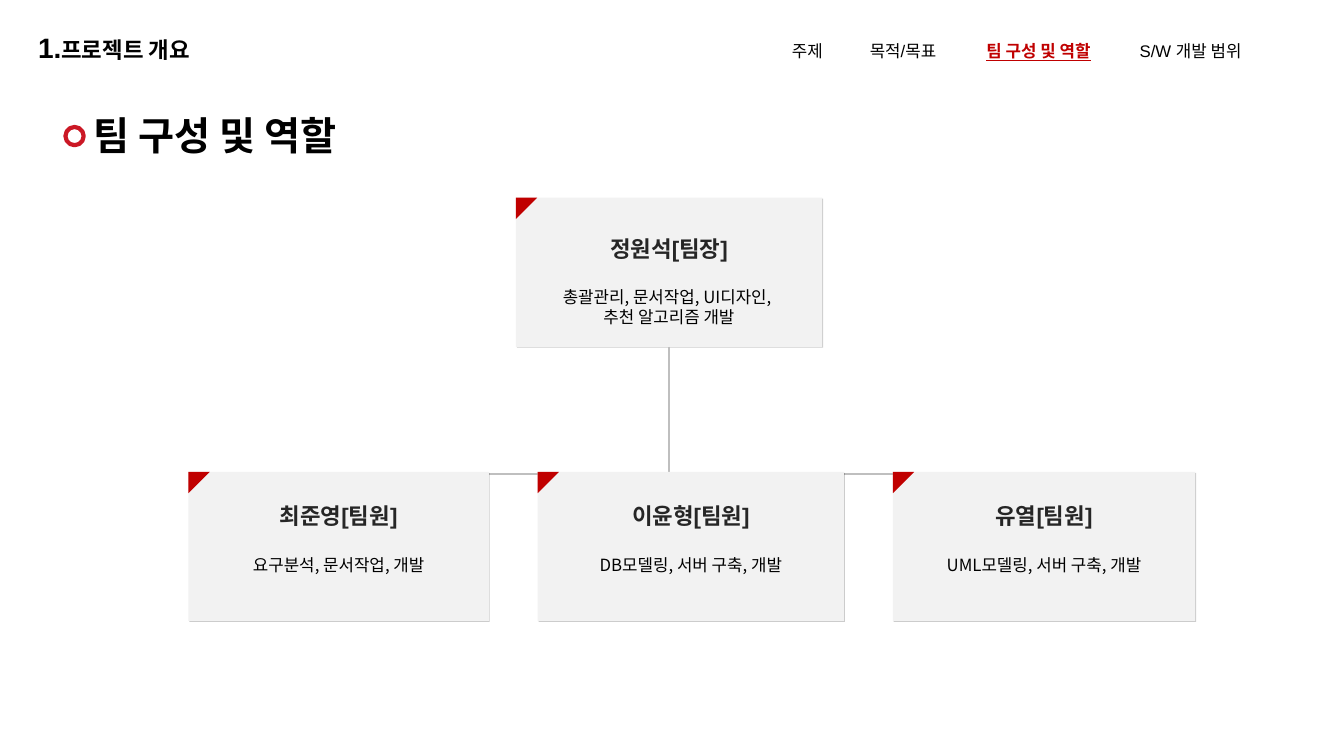
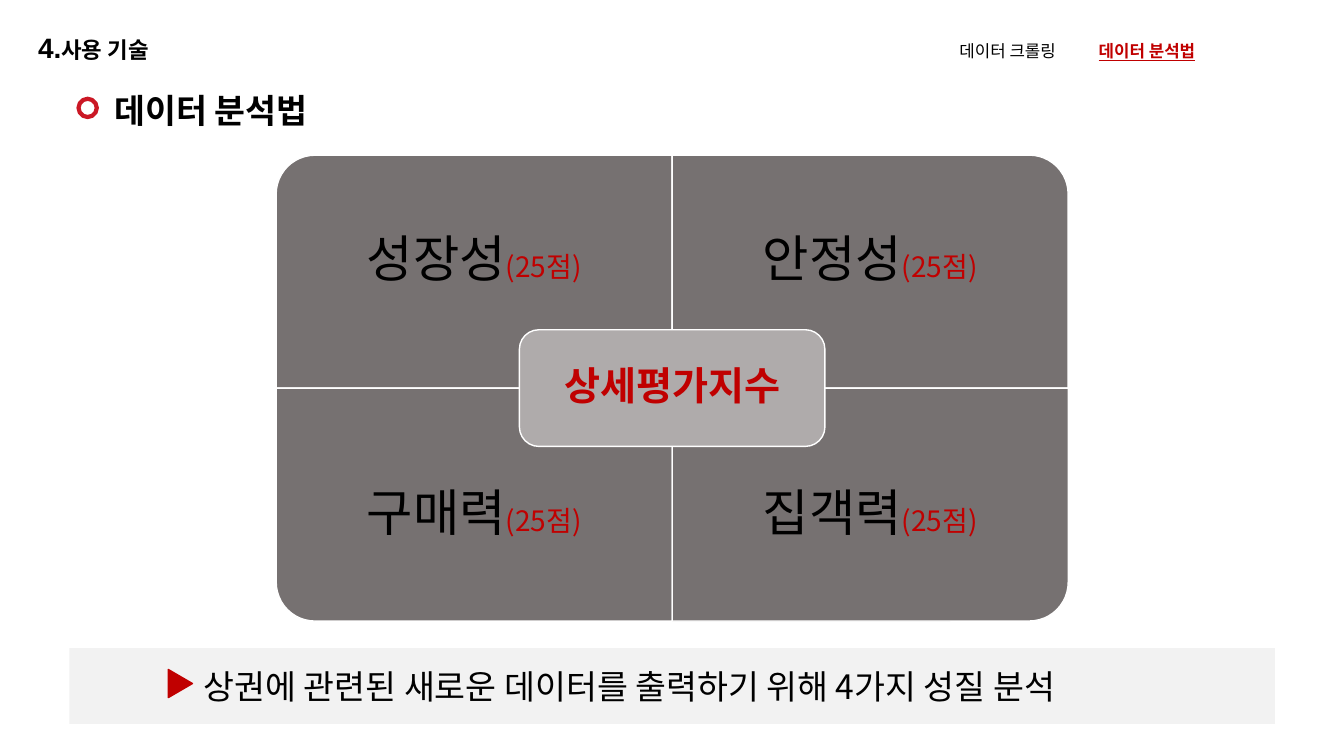
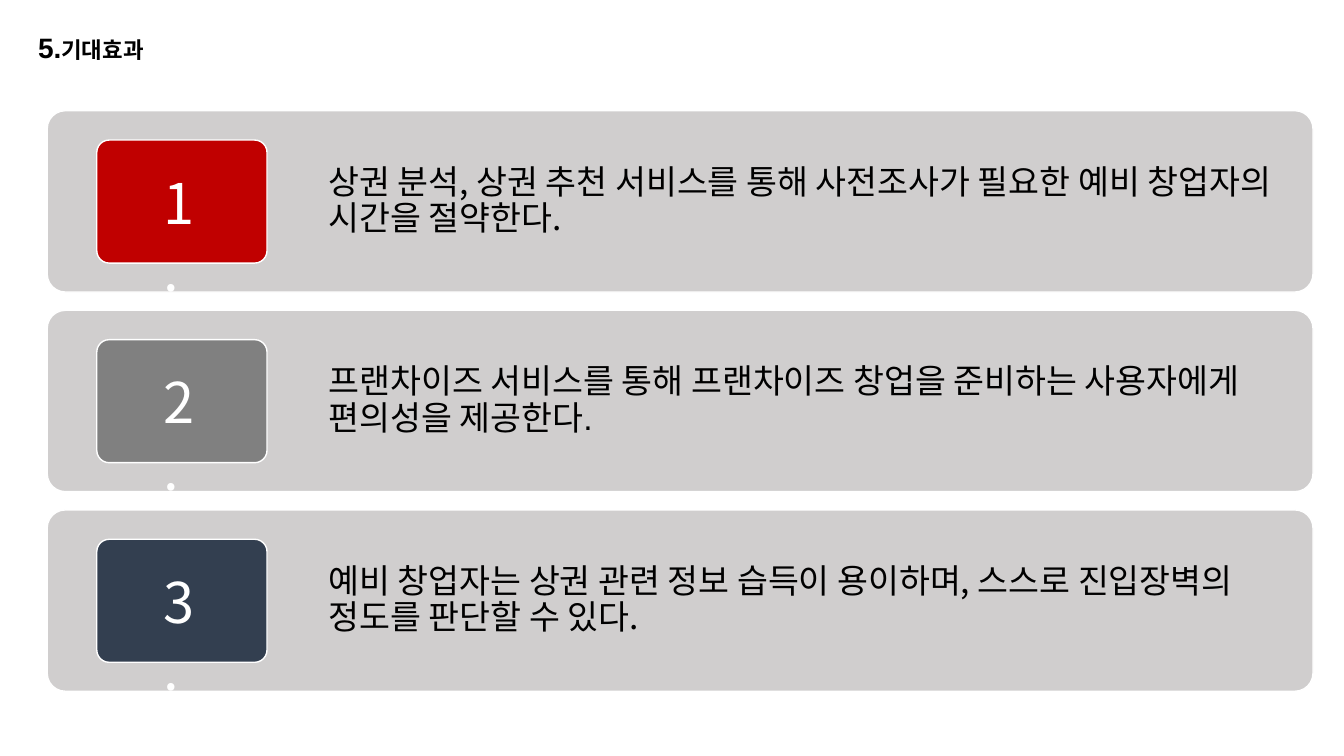
import pptx
import pptx.util
import pptx.dml.color
import pptx.enum.shapes
import pptx.enum.text
import pptx.oxml
import pptx.oxml.ns

Cm, Pt = pptx.util.Cm, pptx.util.Pt
RGBColor = pptx.dml.color.RGBColor
KIND = pptx.enum.shapes.MSO_SHAPE
ALIGN = pptx.enum.text.PP_ALIGN
ANCHOR = pptx.enum.text.MSO_ANCHOR

BLACK = RGBColor(0x00, 0x00, 0x00)
WHITE = RGBColor(0xFF, 0xFF, 0xFF)
INK = RGBColor(0x26, 0x26, 0x26)
RED = RGBColor(0xC0, 0x00, 0x00)
RING = RGBColor(0xCB, 0x18, 0x25)
PALE = RGBColor(0xF2, 0xF2, 0xF2)
RULE = RGBColor(0xBF, 0xBF, 0xBF)
PANEL = RGBColor(0x76, 0x71, 0x71)
CORE = RGBColor(0xAF, 0xAB, 0xAB)
BAND = RGBColor(0xD0, 0xCE, 0xCE)
GREY = RGBColor(0x80, 0x80, 0x80)
NAVY = RGBColor(0x33, 0x3F, 0x50)

ARIAL = "Arial"
NOTO = "Noto Sans CJK KR"
NS = 'xmlns:a="http://schemas.openxmlformats.org/drawingml/2006/main"'
SHADOW = (f'<a:outerShdw {NS} blurRad="0" dist="12700" dir="2700000">'
          '<a:srgbClr val="000000"><a:alpha val="20000"/></a:srgbClr>'
          '</a:outerShdw>')


class Deck:
    def __init__(self):
        self.prs = pptx.Presentation()
        self.prs.slide_width = Cm(33.87)
        self.prs.slide_height = Cm(19.05)
        self.slide = None

    def page(self, num, name):
        """Start a slide with its chapter number and name."""
        self.slide = self.prs.slides.add_slide(self.prs.slide_layouts[6])
        para = self.text(0.71, 0.64, 6.45, 1.12)
        self.run(para, num, 20, ARIAL, bold=True)
        self.run(para, name, 16, ARIAL, bold=True)

    def text(self, x, y, w, h, align=None, middle=False, inset=None,
             tight=False, wrap=True):
        """Add a text box and return its first paragraph."""
        box = self.slide.shapes.add_textbox(Cm(x), Cm(y), Cm(w), Cm(h))
        return self.frame(box.text_frame, align, middle, inset, tight, wrap)

    def frame(self, frame, align=None, middle=False, inset=None,
              tight=False, wrap=True):
        """Set up a text frame and return its first paragraph."""
        frame.word_wrap = wrap
        frame.vertical_anchor = ANCHOR.MIDDLE if middle else ANCHOR.TOP
        if inset is not None:
            frame.margin_left = frame.margin_right = Cm(inset)
            frame.margin_top = frame.margin_bottom = Cm(inset)
        para = frame.paragraphs[0]
        para.alignment = align
        if tight:
            para.line_spacing = 0.9
        return para

    def run(self, para, words, size, face=NOTO, color=BLACK, bold=False,
            under=False):
        piece = para.add_run()
        piece.text = words
        font = piece.font
        font.size, font.name = Pt(size), face
        font.bold, font.underline = bold, under
        font.color.rgb = color

    def paint(self, shape, fill=None, line=None, width=1):
        shape.shadow.inherit = False
        if fill is None:
            shape.fill.background()
        else:
            shape.fill.solid()
            shape.fill.fore_color.rgb = fill
        if line is None:
            shape.line.fill.background()
        else:
            shape.line.color.rgb = line
            shape.line.width = Pt(width)
        return shape

    def shape(self, kind, x, y, w, h, fill=None, line=None, width=1,
              turn=0, adj=None):
        item = self.slide.shapes.add_shape(kind, Cm(x), Cm(y), Cm(w), Cm(h))
        item.rotation = turn
        if adj is not None:
            item.adjustments[0] = adj
        return self.paint(item, fill, line, width)

    def link(self, x1, y1, x2, y2, start=None):
        """Draw a grey rule, joined to the bottom of start if given."""
        rule = self.slide.shapes.add_connector(
            pptx.enum.shapes.MSO_CONNECTOR.STRAIGHT,
            Cm(x1), Cm(y1), Cm(x2), Cm(y2))
        if start is not None:
            rule.begin_connect(start, 2)
        rule.line.color.rgb = RULE
        rule.line.width = Pt(1.5)
        props = rule._element.spPr
        props.append(pptx.oxml.parse_xml(f"<a:effectLst {NS}/>"))

    def nav(self, x, w, stops, items, live):
        """Write the menu at the top right, with item number live in red."""
        para = self.text(x, 0.91, w, 0.76)
        tabs = "".join(f'<a:tab pos="{Cm(stop)}" algn="l"/>' for stop in stops)
        para._p.get_or_add_pPr().append(
            pptx.oxml.parse_xml(f"<a:tabLst {NS}>{tabs}</a:tabLst>"))
        for i, item in enumerate(items):
            if i:
                self.run(para, "\t", 12, ARIAL)
            on = i == live
            self.run(para, item, 12, ARIAL, RED if on else BLACK, on, on)

    def head(self, words, x, y, size, face, ring):
        """Write the slide heading after a ring placed at ring."""
        para = self.text(x, y, 7.72, 1.45)
        self.run(para, words, size, face, bold=True)
        self.shape(KIND.OVAL, *ring, 0.46, 0.46, line=RING, width=3)

    def card(self, x, y, w, drop, name, tasks):
        """Add a member card whose text starts drop below its top."""
        box = self.shape(KIND.RECTANGLE, x, y, w, 3.76, PALE)
        effects = box._element.spPr.find(pptx.oxml.ns.qn("a:effectLst"))
        effects.append(pptx.oxml.parse_xml(SHADOW))
        side, left, top = Cm(0.54), Cm(x), Cm(y)
        pen = self.slide.shapes.build_freeform(left, top)
        pen.add_line_segments([(left + side, top), (left, top + side)])
        self.paint(pen.convert_to_shape(), RED)
        para = self.text(x, y + drop, w, 2.64, ALIGN.CENTER)
        self.run(para, name, 16, ARIAL, INK, True)
        frame = self.slide.shapes[-1].text_frame
        for i, task in enumerate(tasks):
            para = frame.add_paragraph()
            para.alignment = ALIGN.CENTER
            if i == 0:
                para.space_before = Pt(18)
            self.run(para, task, 12)
        return box


def team(deck):
    deck.page("1.", "프로젝트 개요")
    boss = deck.card(13, 4.98, 7.72, 0.81, "정원석[팀장]",
                     ["총괄관리, 문서작업, UI디자인, ", "추천 알고리즘 개발"])
    deck.link(16.86, 8.74, 16.86, 12.1, boss)
    deck.link(10.19, 11.94, 23.55, 11.94)
    for x, w, name, task in [
            (4.75, 7.57, "최준영[팀원]", "요구분석, 문서작업, 개발"),
            (13.55, 7.72, "이윤형[팀원]", "DB모델링, 서버 구축, 개발"),
            (22.5, 7.62, "유열[팀원]", "UML모델링, 서버 구축, 개발")]:
        deck.card(x, 11.89, w, 0.64, name, [task])
    deck.nav(19.71, 13.36, [1.96, 4.9, 8.76],
             ["주제", "목적/목표", "팀 구성 및 역할", "S/W 개발 범위"], 2)
    deck.head("팀 구성 및 역할", 2.11, 2.69, 28, ARIAL, (1.65, 3.2))


def method(deck):
    deck.page("4.", "사용 기술")
    deck.head("데이터 분석법", 2.64, 2.13, 24, NOTO, (1.98, 2.49))
    midx, midy, wide, high = 16.94, 9.78, 9.98, 5.87
    for name, dx, dy, turn in [("성장성", -1, -1, 270), ("안정성", 1, -1, 0),
                               ("구매력", -1, 1, 180), ("집객력", 1, 1, 90)]:
        cx, cy = midx + dx * wide / 2, midy + dy * high / 2
        w, h = (high, wide) if turn % 180 else (wide, high)
        deck.shape(KIND.ROUND_1_RECTANGLE, cx - w / 2, cy - h / 2, w, h,
                   PANEL, WHITE, turn=turn)
        para = deck.text(cx - wide / 2, midy + dy * 3.2 - 1.5, wide, 3,
                         ALIGN.CENTER, True, 0.36, True)
        deck.run(para, name, 36)
        deck.run(para, "(25점)", 20, color=RED)
    core = deck.shape(KIND.ROUNDED_RECTANGLE, midx - 3.85, midy - 1.47,
                      7.7, 2.94, CORE, WHITE)
    para = deck.frame(core.text_frame, ALIGN.CENTER, True, 0.3, True)
    deck.run(para, "상세평가지수", 28, color=RED, bold=True)
    deck.shape(KIND.RECTANGLE, 1.75, 16.33, 30.38, 1.91, PALE)
    para = deck.text(4.88, 16.66, 24.8, 1.27, wrap=False)
    deck.run(para, "상권에 관련된 새로운 데이터를 출력하기 위해 4가지 성질 분석", 24)
    deck.shape(KIND.ISOSCELES_TRIANGLE, 4.19, 16.92, 0.71, 0.61, RED, RED,
               turn=90)
    deck.nav(23.93, 9.6, [3.51, 6.43], ["데이터 크롤링", "데이터 분석법\t"], 1)


def effect(deck):
    deck.page("5.", "기대효과")
    rows = [
        (RED, NOTO, "상권 분석, 상권 추천 서비스를 통해 사전조사가 필요한 "
                    "예비 창업자의 시간을 절약한다."),
        (GREY, ARIAL, "프랜차이즈 서비스를 통해 프랜차이즈 창업을 준비하는 "
                      "사용자에게 편의성을 제공한다."),
        (NAVY, NOTO, "예비 창업자는 상권 관련 정보 습득이 용이하며, "
                     "스스로 진입장벽의 정도를 판단할 수 있다.")]
    for i, (color, face, words) in enumerate(rows):
        y = 2.79 + i * 5.03
        deck.shape(KIND.ROUNDED_RECTANGLE, 1.19, y, 31.9, 4.57,
                   BAND, WHITE, adj=0.1)
        para = deck.text(8.03, y, 25.07, 4.57, None, True, 0.25, True)
        deck.run(para, words, 24, face)
        deck.shape(KIND.ROUNDED_RECTANGLE, 2.44, y + 0.74, 4.29, 3.1,
                   color, WHITE, adj=0.1)
        para = deck.text(3.86, y + 1.32, 1.42, 1.96)
        deck.run(para, f"{i + 1}.", 40, color=WHITE)


def main():
    deck = Deck()
    team(deck)
    method(deck)
    effect(deck)
    deck.prs.save("out.pptx")


if __name__ == "__main__":
    main()
